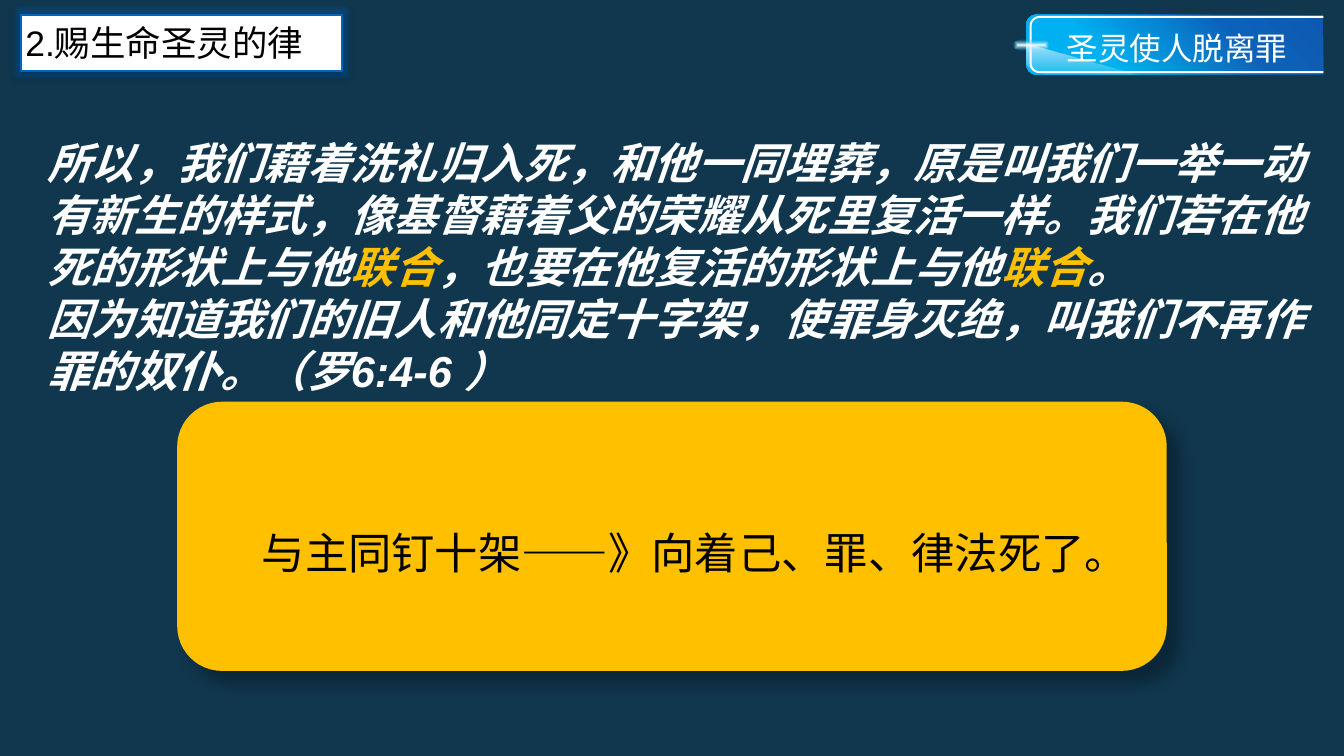
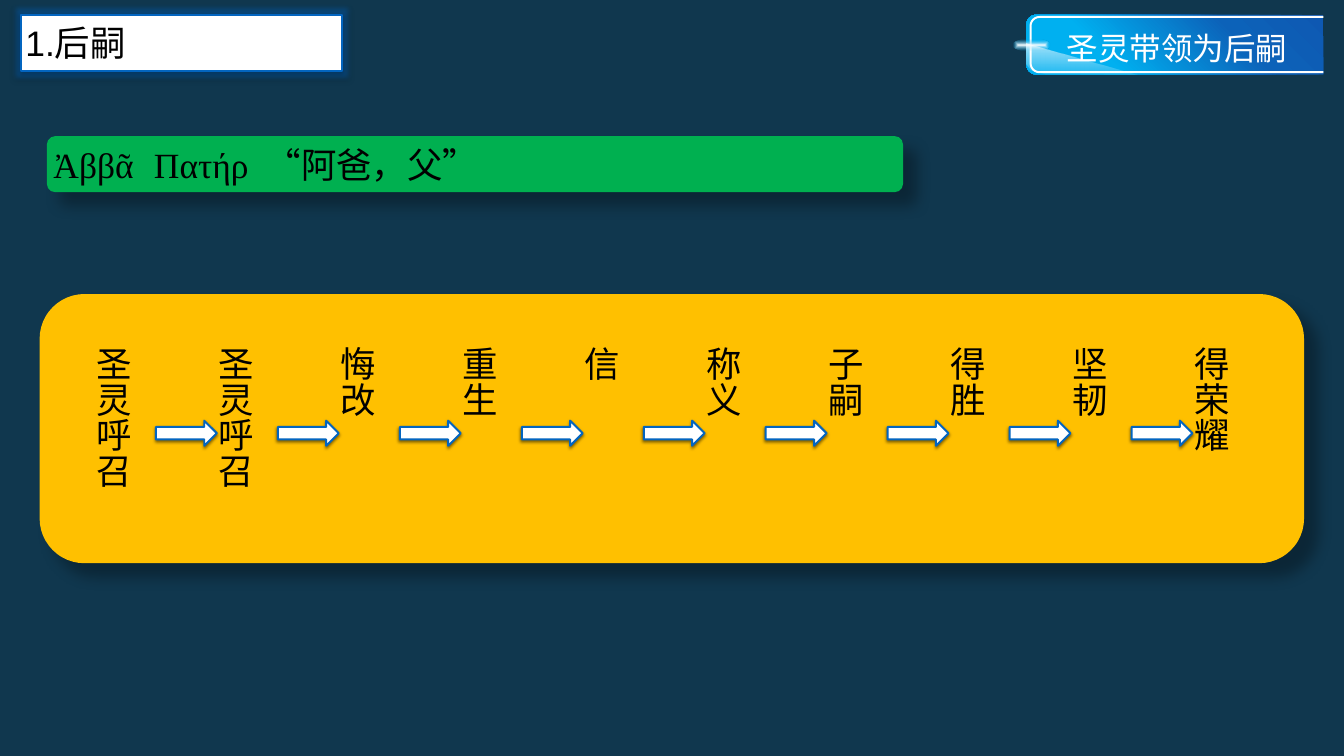
from math import cos, radians, sin

from lxml.etree import SubElement
from pptx import Presentation
from pptx.dml.color import RGBColor
from pptx.enum.lang import MSO_LANGUAGE_ID as Lang
from pptx.enum.shapes import MSO_SHAPE as Shape
from pptx.enum.text import MSO_ANCHOR as Anchor
from pptx.enum.text import MSO_AUTO_SIZE as AutoSize
from pptx.enum.text import PP_ALIGN as Align
from pptx.oxml import parse_xml
from pptx.oxml.ns import nsdecls, qn
from pptx.util import Cm, Pt

# Shared style
NAVY, BLUE, GOLD, GREEN = "10374E", "0365C0", "FFC000", "00B050"
WHITE, BLACK = "FFFFFF", "000000"
SANS, SERIF, CJK = "Arial", "Times New Roman", "Noto Sans CJK SC"
TITLE_SIZE, BADGE_SIZE, VERSE_SIZE = 36, 32, 44
CORNER = 0.15

# Shadows: opacity %, blur pt, distance pt, angle
EDGE_SHADOW = (50, 3, 2, 90)
PANEL_SHADOW = (30, 15, 18, 45)

# Gradient stops: position %, colour, opacity %
BADGE_STOPS = [(0, "0E58B2", 100), (30, "0C62B9", 100), (73, "00B0F0", 100)]
FLARE_STOPS = [(0, WHITE, 100), (88, "00B0F0", 0)]
GLOSS_STOPS = [(0, WHITE, 66), (100, WHITE, 9)]
FROM_CENTRE = ('<a:path path="shape"><a:fillToRect l="50000" t="50000" '
               'r="50000" b="50000"/></a:path>')


def rgb(colour):
    return RGBColor.from_string(colour)


def colour_xml(colour, opacity):
    return (f'<a:srgbClr val="{colour}">'
            f'<a:alpha val="{opacity * 1000}"/></a:srgbClr>')


def linear(angle):
    return f'<a:lin ang="{angle * 60000}" scaled="0"/>'


def left_rounded(left, top, right, bottom, radius):
    """Outline, in cm, running from top right round the left to bottom right."""
    corners = [(top + radius, range(0, 91, 15)),
               (bottom - radius, range(90, 181, 15))]
    arcs = [(left + radius - radius * sin(radians(a)),
             middle - radius * cos(radians(a)))
            for middle, angles in corners for a in angles]
    return [(right, top), *arcs, (right, bottom)]


class Deck:
    def __init__(self):
        self.prs = Presentation()
        self.prs.slide_width, self.prs.slide_height = Cm(48.16), Cm(27.1)
        backdrop = self.prs.slide_master.background.fill
        backdrop.solid()
        backdrop.fore_color.rgb = rgb(NAVY)
        self.slide = None

    # Formatting
    def paint(self, shape, fill=None, line=None, shadow=None, glow=None):
        if fill:
            shape.fill.solid()
            shape.fill.fore_color.rgb = rgb(fill)
        else:
            shape.fill.background()
        if line:
            shape.line.color.rgb = rgb(line)
            shape.line.width = Pt(2)
        else:
            shape.line.fill.background()
        shape.shadow.inherit = False
        effects = shape.element.spPr.find(qn("a:effectLst"))
        if glow:
            effects.append(parse_xml(
                f'<a:glow {nsdecls("a")} rad="{Pt(10)}">'
                f'{colour_xml(glow, 40)}</a:glow>'))
        if shadow:
            opacity, blur, distance, angle = shadow
            effects.append(parse_xml(
                f'<a:outerShdw {nsdecls("a")} blurRad="{Pt(blur)}" '
                f'dist="{Pt(distance)}" dir="{angle * 60000}" '
                f'rotWithShape="0">{colour_xml(BLACK, opacity)}'
                '</a:outerShdw>'))

    def blend(self, shape, stops, direction):
        self.paint(shape)
        props = shape.element.spPr
        marks = "".join(f'<a:gs pos="{pos * 1000}">{colour_xml(c, o)}</a:gs>'
                        for pos, c, o in stops)
        props.replace(props.find(qn("a:noFill")), parse_xml(
            f'<a:gradFill {nsdecls("a")} rotWithShape="1">'
            f'<a:gsLst>{marks}</a:gsLst>{direction}</a:gradFill>'))

    def set_text(self, shape, paragraphs, size, font=SANS, align=Align.LEFT,
                 anchor=Anchor.MIDDLE, inset=0.15, spacing=None, after=None,
                 bold=False, fit=AutoSize.NONE):
        """Each paragraph is a list of (text, colour[, font]) runs."""
        frame = shape.text_frame
        frame.word_wrap = True
        frame.auto_size = fit
        frame.vertical_anchor = anchor
        frame.margin_left = frame.margin_right = Cm(inset)
        frame.margin_top = frame.margin_bottom = Cm(min(inset, 0.15))
        for number, pieces in enumerate(paragraphs):
            para = (frame.add_paragraph() if number else frame.paragraphs[0])
            para.alignment = align
            if spacing:
                para.line_spacing = spacing
            if after:
                para.space_after = Pt(after)
            for text, colour, *own_font in pieces:
                run = para.add_run()
                run.text = text
                face = run.font
                face.name = own_font[0] if own_font else font
                face.size = Pt(size)
                face.bold = face.italic = bold
                face.color.rgb = rgb(colour)
                face.language_id = Lang.SIMPLIFIED_CHINESE
                east_asian = SubElement(run._r.get_or_add_rPr(), qn("a:ea"))
                east_asian.set("typeface", CJK)
        return frame

    # Elements
    def start(self, title, topic):
        self.slide = self.prs.slides.add_slide(self.prs.slide_layouts[5])
        heading = self.slide.shapes.title
        heading.left, heading.top = Cm(0.76), Cm(0.53)
        heading.width, heading.height = Cm(11.48), Cm(2.01)
        heading.element.spPr.insert(1, parse_xml(
            f'<a:prstGeom {nsdecls("a")} prst="roundRect"><a:avLst>'
            f'<a:gd name="adj" fmla="val {int(CORNER * 100000)}"/>'
            '</a:avLst></a:prstGeom>'))
        self.paint(heading, WHITE, BLUE, EDGE_SHADOW, glow=BLUE)
        self.set_text(heading, [[(title, BLACK)]], TITLE_SIZE)
        self.badge(topic)

    def badge(self, topic):
        plate = self.outline(left_rounded(36.78, 0.53, 47.42, 2.67, 0.35))
        self.blend(plate, BADGE_STOPS, linear(135))
        rim = self.outline(left_rounded(36.93, 0.61, 47.42, 2.59, 0.32),
                           close=False)
        self.paint(rim, line=WHITE)
        flare = self.shape(Shape.OVAL, 36.27, 1.4, 1.37, 0.43)
        self.blend(flare, FLARE_STOPS, FROM_CENTRE)
        gloss = self.outline([(36.78, 1.55), (40.8, 2.67), (37.46, 2.64),
                              (36.95, 2.5), (36.78, 2.29)])
        self.blend(gloss, GLOSS_STOPS, linear(90))
        self.text(36.6, 0.48, 11.16, 1.85, [[(topic, WHITE)]], BADGE_SIZE,
                  font=CJK, align=Align.CENTER, spacing=1.3)

    def outline(self, points, close=True):
        corners = [(Cm(x), Cm(y)) for x, y in points]
        builder = self.slide.shapes.build_freeform(*corners[0])
        builder.add_line_segments(corners[1:], close=close)
        return builder.convert_to_shape()

    def shape(self, kind, *box):
        return self.slide.shapes.add_shape(kind, *map(Cm, box))

    def panel(self, *box, fill=GOLD, corner=None):
        panel = self.shape(Shape.ROUNDED_RECTANGLE, *box)
        if corner:
            panel.adjustments[0] = corner
        self.paint(panel, fill, shadow=PANEL_SHADOW)
        return panel

    def text(self, left, top, width, height, paragraphs, size, **style):
        box = self.slide.shapes.add_textbox(
            *map(Cm, (left, top, width, height)))
        style = {"anchor": Anchor.TOP, "inset": 0.25,
                 "fit": AutoSize.SHAPE_TO_FIT_TEXT, **style}
        return self.set_text(box, paragraphs, size, **style)

    def steps(self, names, left, top, pitch):
        """Vertical words at equal pitch with an arrow between neighbours."""
        for number, name in enumerate(names):
            x = left + number * pitch
            frame = self.text(x, top, 1.83, 6.02, [[(name, BLACK)]],
                              TITLE_SIZE, anchor=Anchor.MIDDLE, inset=0.15,
                              fit=AutoSize.NONE)
            frame._txBody.bodyPr.set("vert", "eaVert")
            if number < len(names) - 1:
                arrow = self.shape(Shape.RIGHT_ARROW, x + 2.44, top + 2.8,
                                   2.18, 0.9)
                self.paint(arrow, WHITE, BLUE, EDGE_SHADOW)


def union_slide(deck):
    deck.start("2.赐生命圣灵的律", "圣灵使人脱离罪")

    # Scripture
    union = ("联合", GOLD)
    verses = [
        [("所以，我们藉着洗礼归入死，和他一同埋葬，原是叫我们一举一动有新生的样式，"
          "像基督藉着父的荣耀从死里复活一样。我们若在他死的形状上与他", WHITE),
         union, ("，也要在他复活的形状上与他", WHITE), union, ("。", WHITE)],
        [("因为知道我们的旧人和他同定十字架，使罪身灭绝，叫我们不再作罪的奴仆。"
          "（罗6:4-6 ）", WHITE)],
    ]
    deck.text(1.45, 4.75, 45.97, 9.65, verses, VERSE_SIZE, bold=True)

    # Conclusion
    deck.panel(6.35, 14.4, 35.46, 9.65)
    conclusion = deck.text(
        8.05, 18.24, 32.89, 2.36,
        [[("与主同钉十架——》向着己、罪、律法死了。", BLACK)]], VERSE_SIZE,
        font=SERIF, align=Align.CENTER, spacing=1.25, after=12)
    conclusion.paragraphs[0]._p.get_or_add_pPr().set("indent", str(Cm(0.84)))


def heirs_slide(deck):
    deck.start("1.后嗣", "圣灵带领为后嗣")

    # Cry of the heirs, spaced with tab stops
    cry = deck.panel(1.68, 4.88, 30.68, 2.01, fill=GREEN, corner=CORNER)
    frame = deck.set_text(cry, [[("Ἀββᾶ\tΠατήρ\t", BLACK, SERIF),
                                 ("“阿爸，父”", BLACK)]], TITLE_SIZE)
    stops = SubElement(frame.paragraphs[0]._p.get_or_add_pPr(),
                       qn("a:tabLst"))
    for position in (3.6, 7.6):
        stop = SubElement(stops, qn("a:tab"))
        stop.set("pos", str(Cm(position)))
        stop.set("algn", "l")

    # Road to glory
    deck.panel(1.42, 10.54, 45.31, 9.65)
    deck.steps(["圣灵呼召", "圣灵呼召", "悔改", "重生", "信", "称义", "子嗣",
                "得胜", "坚韧", "得荣耀"], left=3.15, top=12.28, pitch=4.37)


def main():
    deck = Deck()
    union_slide(deck)
    heirs_slide(deck)
    deck.prs.save("out.pptx")


if __name__ == "__main__":
    main()
